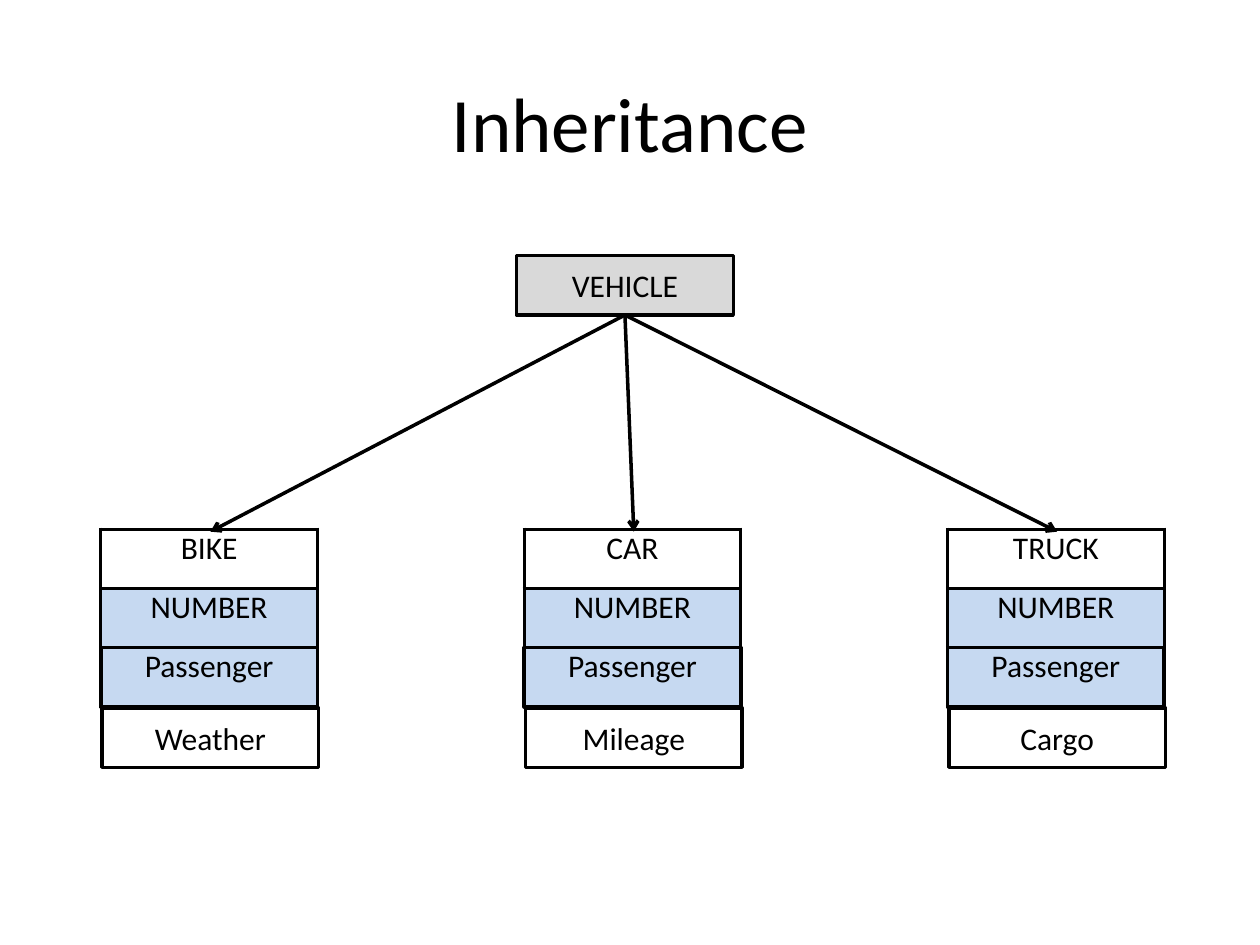
import dataclasses
import lxml.etree
import pptx
import pptx.dml.color
import pptx.enum.shapes
import pptx.enum.text
import pptx.oxml.ns
import pptx.util


@dataclasses.dataclass(frozen=True)
class Theme:
    font: str = "Calibri"
    ink: str = "000000"
    parent_fill: str = "D9D9D9"
    inherited_fill: str = "C6D9F1"
    title_size: int = 44
    label_size: int = 18
    line_width: int = 2


class Diagram:
    COLUMNS, ROWS = 100, 75

    def __init__(self, presentation, theme):
        self.theme = theme
        self.slide = presentation.slides.add_slide(presentation.slide_layouts[5])
        self.column = presentation.slide_width / self.COLUMNS
        self.row = presentation.slide_height / self.ROWS

    def place(self, left, top, *size):
        steps = (self.column, self.row) * 2
        return [pptx.util.Emu(round(n * step)) for n, step in zip((left, top, *size), steps)]

    def color(self, value):
        return pptx.dml.color.RGBColor.from_string(value)

    def fill(self, target, value):
        if value:
            target.fill.solid()
            target.fill.fore_color.rgb = self.color(value)
        else:
            target.fill.background()

    def stroke(self, line):
        line.color.rgb = self.color(self.theme.ink)
        line.width = pptx.util.Pt(self.theme.line_width)

    def label(self, text_frame, text, size):
        text_frame.text = text
        paragraph = text_frame.paragraphs[0]
        paragraph.alignment = pptx.enum.text.PP_ALIGN.CENTER
        font = paragraph.runs[0].font
        font.name = self.theme.font
        font.size = pptx.util.Pt(size)
        font.color.rgb = self.color(self.theme.ink)

    def inset(self, target, top=0):
        target.margin_left = target.margin_right = target.margin_bottom = 0
        target.margin_top = pptx.util.Inches(top)

    def title(self, text, *box):
        title = self.slide.shapes.title
        title.left, title.top, title.width, title.height = self.place(*box)
        self.inset(title.text_frame, 0.14)
        title.text_frame.vertical_anchor = pptx.enum.text.MSO_ANCHOR.TOP
        self.label(title.text_frame, text, self.theme.title_size)

    def box(self, box, text="", fill=None):
        rectangle = pptx.enum.shapes.MSO_SHAPE.RECTANGLE
        shape = self.slide.shapes.add_shape(rectangle, *self.place(*box))
        shape.shadow.inherit = False
        self.fill(shape, fill)
        self.stroke(shape.line)
        if text:
            self.inset(shape.text_frame)
            shape.text_frame.vertical_anchor = pptx.enum.text.MSO_ANCHOR.MIDDLE
            self.label(shape.text_frame, text, self.theme.label_size)
        return shape

    def arrow(self, parent, left, top):
        end = self.place(left, top)
        straight = pptx.enum.shapes.MSO_CONNECTOR.STRAIGHT
        connector = self.slide.shapes.add_connector(straight, *end, *end)
        connector.begin_connect(parent, 2)
        self.stroke(connector.line)
        qname = pptx.oxml.ns.qn
        properties = connector._element.spPr
        lxml.etree.SubElement(properties.find(qname("a:ln")), qname("a:tailEnd"), type="arrow")
        lxml.etree.SubElement(properties, qname("a:effectLst"))

    def cell_borders(self, cell):
        qname = pptx.oxml.ns.qn
        properties = cell._tc.get_or_add_tcPr()
        width = str(int(pptx.util.Pt(self.theme.line_width)))
        for side in "LRTB":
            line = lxml.etree.SubElement(properties, qname(f"a:ln{side}"), w=width)
            solid = lxml.etree.SubElement(line, qname("a:solidFill"))
            lxml.etree.SubElement(solid, qname("a:srgbClr"), val=self.theme.ink)

    def table(self, box, entries):
        frame = self.slide.shapes.add_table(len(entries), 1, *self.place(*box))
        table = frame.table
        table.first_row = table.horz_banding = False
        for index, (text, fill) in enumerate(entries):
            cell = table.cell(index, 0)
            self.inset(cell)
            self.cell_borders(cell)
            self.fill(cell, fill)
            self.label(cell.text_frame, text, self.theme.label_size)


def main():
    presentation = pptx.Presentation()
    presentation.slide_width = pptx.util.Inches(10)
    presentation.slide_height = pptx.util.Inches(7.5)
    theme = Theme()
    diagram = Diagram(presentation, theme)
    diagram.title("Inheritance", 16, 4.6, 68, 9.8)

    width, height = 17.2, 4.7
    first, pitch, top = 8, 33.6, 42
    vehicle = diagram.box((41, 20.3, width, height), "VEHICLE", theme.parent_fill)
    inherited = [("NUMBER", theme.inherited_fill), ("Passenger", theme.inherited_fill)]
    children = [("BIKE", "Weather"), ("CAR", "Mileage"), ("TRUCK", "Cargo")]
    for index, (name, own_field) in enumerate(children):
        left = first + index * pitch
        entries = [(name, None), *inherited]
        diagram.table((left, top, width, height * len(entries)), entries)
        diagram.box((left, top + 2 * height, width, height))
        diagram.box((left + 0.1, top + 3 * height + 0.1, width, height), own_field)
        diagram.arrow(vehicle, left + width / 2 + 0.1, top + 0.2)

    presentation.save("out.pptx")


if __name__ == "__main__":
    main()
